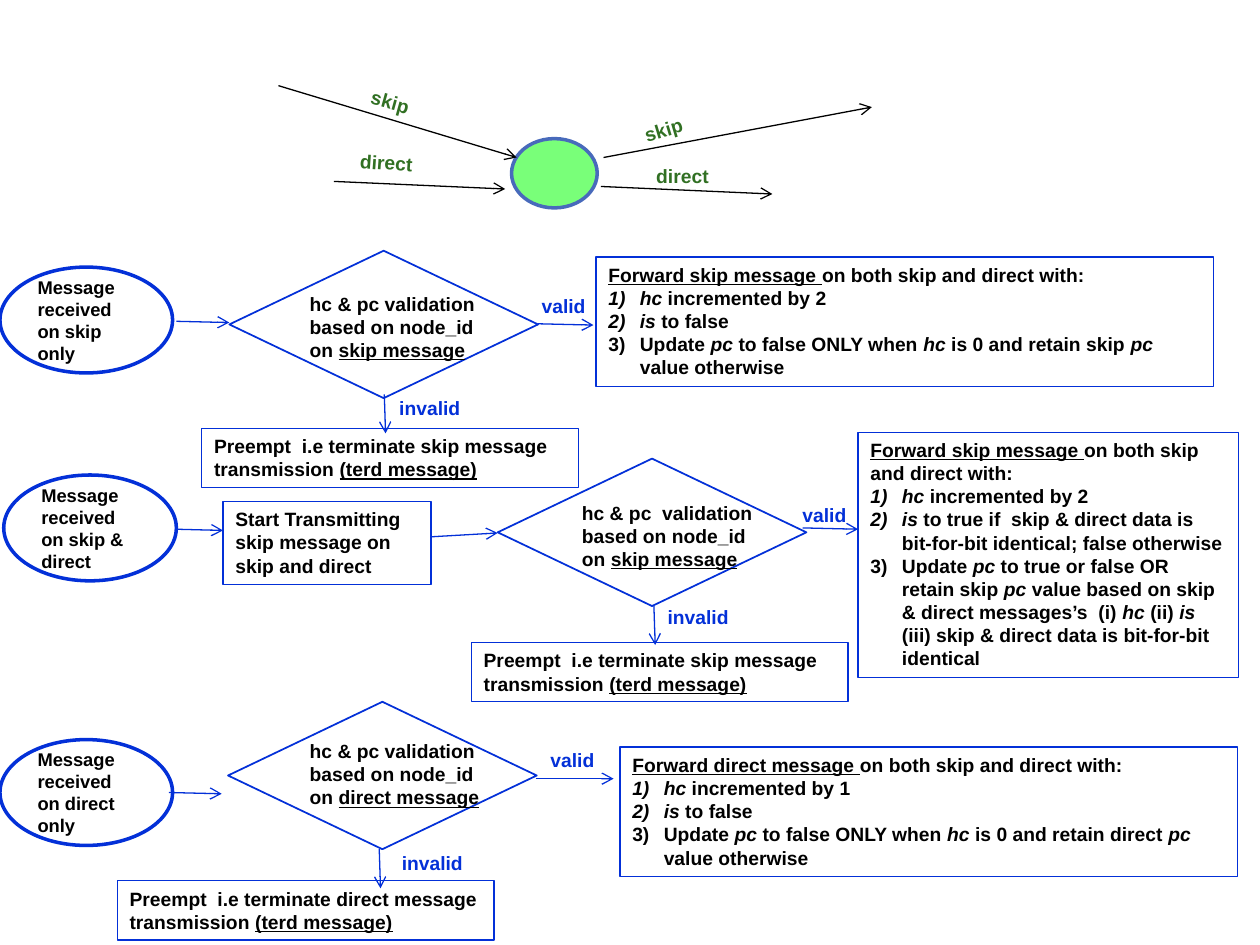
from dataclasses import dataclass

from lxml.etree import SubElement
from pptx import Presentation
from pptx.dml.color import RGBColor
from pptx.enum.shapes import MSO_CONNECTOR as Link, MSO_SHAPE as Shape
from pptx.enum.text import MSO_ANCHOR as Anchor, MSO_AUTO_SIZE as Fit, PP_ALIGN as Align
from pptx.oxml.ns import qn
from pptx.util import Inches, Pt


@dataclass(frozen=True)
class Theme:
    font: str = "Arial"
    body: float = 11
    oval: float = 10.5
    ink: str = "000000"
    flow: str = "0330D8"
    label: str = "317023"
    paper: str = "FFFFFF"
    node: str = "79FF79"
    node_edge: str = "486ABB"
    thin: float = 0.75
    medium: float = 1
    thick: float = 2


THEME = Theme()

# The slide is a grid of 100 columns by 75 rows of square cells
COLUMNS, ROWS = 100, 75
CELL = Inches(10) / COLUMNS

# Sizes in cells
OVAL, DIAMOND, CHECK = (13.7, 8.4), (24.5, 11.7), (16.4, 6.6)
PREEMPT, VALID, INVALID = (29.9, 4.7), (5.5, 2.9), (6.9, 3)
SKIP, DIRECT = (5.1, 2.9), (6.2, 2.9)

# Node overview: arrows (from, to) and labels (text, place, size, rotation)
NODE = (40.6, 11), (6.8, 5.5)
NODE_ARROWS = [
    ((22.1, 6.8), (41, 12.5)),
    ((26.5, 14.4), (40.1, 15)),
    ((47.9, 12.5), (69.2, 8.5)),
    ((47.7, 14.8), (61.3, 15.4)),
]
NODE_LABELS = [
    ("skip", (28.5, 6.5), SKIP, 15.5),
    ("direct", (27.6, 11.3), DIRECT, 4.1),
    ("skip", (50.1, 8.7), SKIP, 343.3),
    ("direct", (51.1, 12.4), DIRECT, 0),
]

# Marks in the wording: *italic*, |underlined|
TRANSMIT = "Start Transmitting skip message on skip and direct", (17.7, 39.8), (16.5, 6.6)
FLOWS = [
    dict(
        received="skip only", message="skip", check="hc & pc validation",
        oval=(0, 21.2), diamond=(18.2, 19.9), check_at=(23.6, 22.7),
        preempt=(16, 34), valid=(42, 22.7), invalid=(30.7, 30.8),
        outcome=((47.3, 20.4), (49, 10.3)),
        steps=["*hc* incremented by 2", "*is* to false",
               "Update *pc* to false ONLY when *hc* is 0 and retain skip *pc* value otherwise"],
        arrows=[((14, 25.5), (18.2, 25.6)), ((30.5, 31.3), (30.6, 34.4)),
                ((42.7, 25.7), (47.1, 25.8))],
    ),
    dict(
        received="skip & direct", message="skip", check="hc & pc  validation",
        oval=(0.3, 37.7), diamond=(39.5, 36.4), check_at=(45.2, 39.3),
        preempt=(37.4, 51), valid=(62.7, 39.3), invalid=(52, 47.4),
        outcome=((68.1, 34.3), (30.2, 19.5)),
        steps=["*hc* incremented by 2",
               "*is* to true if  skip & direct data is bit-for-bit identical; false otherwise",
               "Update *pc* to true or false OR  retain skip *pc* value based on skip & direct "
               "messages’s  (i) *hc* (ii) *is* (iii) skip & direct data is bit-for-bit identical"],
        arrows=[((13.9, 42), (17.7, 42.1)), ((34.3, 42.6), (39.5, 42.3)),
                ((51.9, 48.1), (52, 51.2)), ((63.7, 41.9), (68.1, 42))],
    ),
    dict(
        received="direct only", message="direct", check="hc & pc validation",
        oval=(0, 58.7), diamond=(18.1, 55.7), check_at=(23.6, 58.2),
        preempt=(9.3, 69.9), valid=(42.7, 58.7), invalid=(30.9, 66.9),
        outcome=((49.2, 59.3), (49, 10.3)),
        steps=["*hc* incremented by 1", "*is* to false",
               "Update *pc* to false ONLY when *hc* is 0 and retain direct *pc* value otherwise"],
        arrows=[((13.4, 62.9), (17.6, 63)), ((30.1, 67.4), (30.2, 70.5)),
                ((42.5, 61.8), (48.7, 61.8))],
    ),
]


def cells(*lengths):
    return [round(length * CELL) for length in lengths]


def rgb(code):
    return RGBColor.from_string(code)


def write_runs(paragraph, wording, size, color):
    """Add one run for each stretch between the marks."""
    italic = underlined = False
    for piece in wording.replace("*", "\n*\n").replace("|", "\n|\n").split("\n"):
        if piece == "*":
            italic = not italic
        elif piece == "|":
            underlined = not underlined
        elif piece:
            run = paragraph.add_run()
            run.text = piece
            font = run.font
            font.name, font.size, font.bold = THEME.font, Pt(size), True
            font.italic, font.underline = italic, underlined
            font.color.rgb = rgb(color)


def number(paragraph):
    properties = paragraph._p.get_or_add_pPr()
    properties.set("marL", str(Inches(0.25)))
    properties.set("indent", str(-Inches(0.25)))
    SubElement(properties, qn("a:buFont"), typeface="+mj-lt")
    SubElement(properties, qn("a:buAutoNum"), type="arabicParenR")


def write(shape, wording, steps=(), size=THEME.body, color=THEME.ink, anchor=Anchor.TOP):
    frame = shape.text_frame
    frame.word_wrap, frame.vertical_anchor = True, anchor
    for index, line in enumerate([wording, *steps]):
        paragraph = frame.add_paragraph() if index else frame.paragraphs[0]
        paragraph.alignment = Align.LEFT
        if index:
            number(paragraph)
        write_runs(paragraph, line, size, color)


def add_outline(shapes, kind, place, size, fill=None, edge=THEME.flow, width=THEME.thin):
    shape = shapes.add_shape(kind, *cells(*place, *size))
    shape.shadow.inherit = False
    if fill:
        shape.fill.solid()
        shape.fill.fore_color.rgb = rgb(fill)
    else:
        shape.fill.background()
    shape.line.color.rgb, shape.line.width = rgb(edge), Pt(width)
    return shape


def add_box(shapes, wording, place, size, steps=()):
    write(add_outline(shapes, Shape.RECTANGLE, place, size), wording, steps)


def add_label(shapes, wording, place, size, color, rotation=0):
    label = shapes.add_textbox(*cells(*place, *size))
    write(label, wording, color=color)
    label.text_frame.word_wrap = False
    label.text_frame.auto_size = Fit.SHAPE_TO_FIT_TEXT
    label.text_frame.paragraphs[0].line_spacing = 1.1
    label.rotation = rotation


def add_arrow(shapes, start, end, color):
    arrow = shapes.add_connector(Link.STRAIGHT, *cells(*start, *end))
    arrow.line.color.rgb, arrow.line.width = rgb(color), Pt(THEME.thin)
    SubElement(arrow.line._get_or_add_ln(), qn("a:tailEnd"), type="arrow")
    SubElement(arrow._element.spPr, qn("a:effectLst"))


def add_flow(shapes, flow):
    message = flow["message"]
    # Start and decision
    oval = add_outline(shapes, Shape.OVAL, flow["oval"], OVAL, THEME.paper, width=THEME.thick)
    write(oval, f"Message received on {flow['received']}", size=THEME.oval, anchor=Anchor.MIDDLE)
    add_outline(shapes, Shape.FLOWCHART_DECISION, flow["diamond"], DIAMOND, width=THEME.medium)
    check = shapes.add_textbox(*cells(*flow["check_at"], *CHECK))
    write(check, f"{flow['check']} based on node_id on |{message} message|")
    # Outcomes
    add_box(shapes, f"Preempt  i.e terminate {message} message transmission |(terd message)|",
            flow["preempt"], PREEMPT)
    add_box(shapes, f"|Forward {message} message |on both skip and direct with:",
            *flow["outcome"], flow["steps"])
    # Branches
    for start, end in flow["arrows"]:
        add_arrow(shapes, start, end, THEME.flow)
    add_label(shapes, "valid", flow["valid"], VALID, THEME.flow)
    add_label(shapes, "invalid", flow["invalid"], INVALID, THEME.flow)


def main():
    deck = Presentation()
    deck.slide_width, deck.slide_height = cells(COLUMNS, ROWS)
    shapes = deck.slides.add_slide(deck.slide_layouts[6]).shapes

    # Node with its incoming and outgoing links
    add_outline(shapes, Shape.OVAL, *NODE, THEME.node, THEME.node_edge, THEME.thick)
    for start, end in NODE_ARROWS:
        add_arrow(shapes, start, end, THEME.ink)
    for wording, place, size, rotation in NODE_LABELS:
        add_label(shapes, wording, place, size, THEME.label, rotation)

    # Message handling
    for flow in FLOWS:
        add_flow(shapes, flow)
    add_box(shapes, *TRANSMIT)

    deck.save("out.pptx")


if __name__ == "__main__":
    main()
